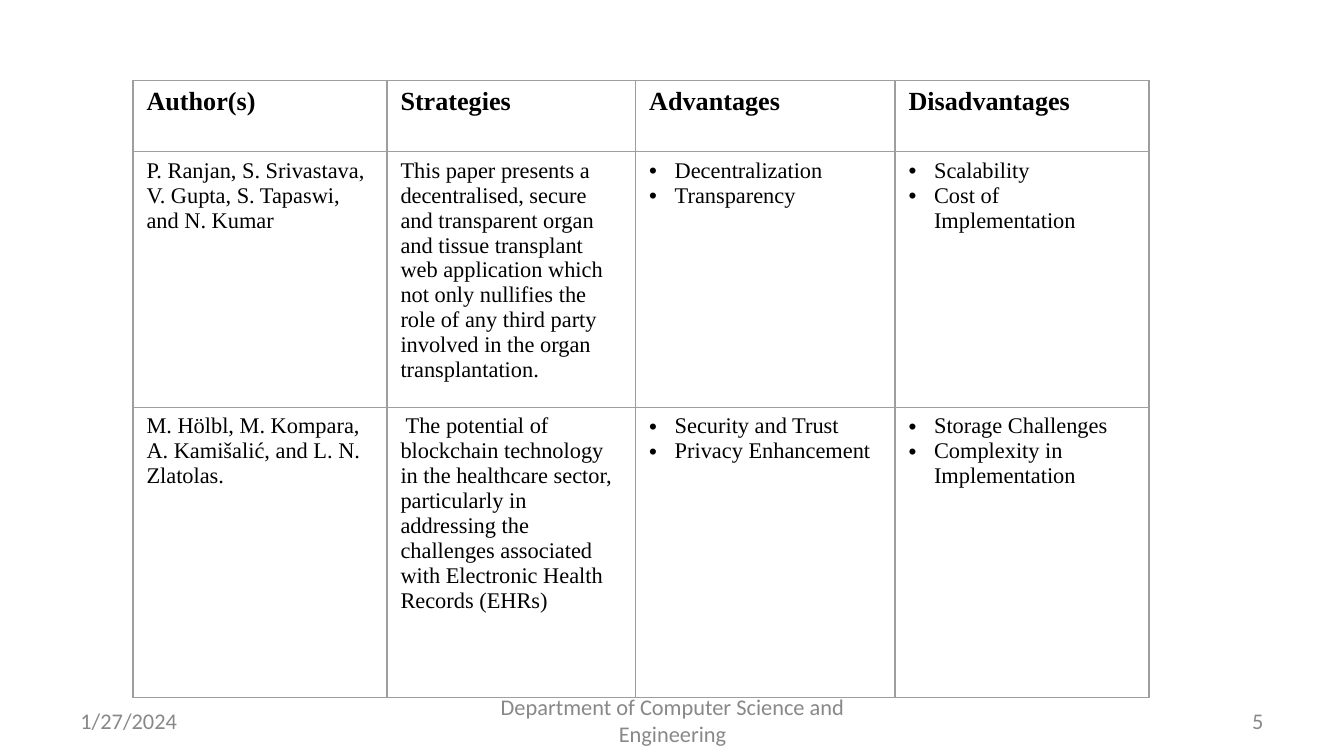
import pptx
import pptx.util
import pptx.dml.color
import pptx.enum.text
import pptx.oxml.ns
from lxml import etree

Inches, Pt = pptx.util.Inches, pptx.util.Pt
ALIGN = pptx.enum.text.PP_ALIGN

COLORS = {"text": "000000", "footer": "888888", "border": "9E9E9E"}
HEADERS = ["Author(s)", "Strategies", "Advantages", "Disadvantages"]
# A string is a plain cell; a list is a bulleted cell.
STUDIES = [
    [
        "P. Ranjan, S. Srivastava, V. Gupta, S. Tapaswi, and N. Kumar",
        "This paper presents a decentralised, secure and transparent organ and tissue "
        "transplant web application which not only nullifies the role of any third party "
        "involved in the organ transplantation.",
        ["Decentralization", "Transparency"],
        ["Scalability", "Cost of Implementation"],
    ],
    [
        "M. Hölbl, M. Kompara, A. Kamišalić, and L. N. Zlatolas.",
        " The potential of blockchain technology in the healthcare sector, particularly in "
        "addressing the challenges associated with Electronic Health Records (EHRs)",
        ["Security and Trust", "Privacy Enhancement"],
        ["Storage Challenges", "Complexity in Implementation"],
    ],
]
COLUMN_WIDTHS = [1.89, 1.85, 1.93, 1.89]
ROW_HEIGHTS = [0.53, 1.76, 2.16]
TABLE_LEFT, TABLE_TOP = 0.99, 0.6
FOOTER_TOP, FOOTER_HEIGHT = 5.21, 0.3
FOOTERS = [  # text, left, width, alignment
    ("1/27/2024", 0.5, 2.33, ALIGN.LEFT),
    ("Department of Computer Science and Engineering", 3.42, 3.17, ALIGN.CENTER),
    ("5", 7.17, 2.33, ALIGN.RIGHT),
]


def add_element(parent, tag, **attributes):
    return etree.SubElement(parent, pptx.oxml.ns.qn(tag), attributes)


def add_run(paragraph, text, size, font, color, bold=False):
    """Add a run and give the paragraph mark the same size, so it adds no line height."""
    run = paragraph.add_run()
    run.text = text
    run.font.size = Pt(size)
    run.font.name = font
    run.font.bold = bold
    run.font.color.rgb = pptx.dml.color.RGBColor.from_string(COLORS[color])
    paragraph_mark = add_element(paragraph._p, "a:endParaRPr", sz=str(size * 100))
    add_element(paragraph_mark, "a:latin", typeface=font)


def add_bullet(paragraph):
    properties = paragraph._p.get_or_add_pPr()
    indent = Inches(0.19)
    properties.set("marL", str(indent))
    properties.set("indent", str(-indent))
    bullet_color = add_element(properties, "a:buClr")
    add_element(bullet_color, "a:srgbClr", val=COLORS["text"])
    add_element(properties, "a:buFont", typeface="Arial")
    add_element(properties, "a:buChar", char="•")


def add_borders(cell):
    properties = cell._tc.get_or_add_tcPr()
    for side in "LRTB":
        line = add_element(properties, f"a:ln{side}", w=str(Pt(0.75)))
        fill = add_element(line, "a:solidFill")
        add_element(fill, "a:srgbClr", val=COLORS["border"])


def fill_cell(cell, content, is_header):
    add_borders(cell)
    cell.fill.background()
    bulleted = isinstance(content, list)
    frame = cell.text_frame
    for index, text in enumerate(content if bulleted else [content]):
        paragraph = frame.add_paragraph() if index else frame.paragraphs[0]
        if bulleted:
            add_bullet(paragraph)
        add_run(paragraph, text, 14 if is_header else 12, "Times New Roman", "text", is_header)


def add_study_table(slide):
    rows = [HEADERS] + STUDIES
    table = slide.shapes.add_table(
        len(rows), len(HEADERS), Inches(TABLE_LEFT), Inches(TABLE_TOP),
        Inches(sum(COLUMN_WIDTHS)), Inches(sum(ROW_HEIGHTS))).table
    table.horz_banding = False
    table.first_row = False
    for column, width in zip(table.columns, COLUMN_WIDTHS):
        column.width = Inches(width)
    for row, height, contents in zip(table.rows, ROW_HEIGHTS, rows):
        row.height = Inches(height)
        for cell, content in zip(row.cells, contents):
            fill_cell(cell, content, contents is HEADERS)


def add_footers(slide):
    for text, left, width, alignment in FOOTERS:
        box = slide.shapes.add_textbox(
            Inches(left), Inches(FOOTER_TOP), Inches(width), Inches(FOOTER_HEIGHT))
        frame = box.text_frame
        frame.word_wrap = True
        frame.vertical_anchor = pptx.enum.text.MSO_ANCHOR.MIDDLE
        paragraph = frame.paragraphs[0]
        paragraph.alignment = alignment
        add_run(paragraph, text, 12, "Calibri", "footer")


def main():
    presentation = pptx.Presentation()
    presentation.slide_width = Inches(10)
    presentation.slide_height = presentation.slide_width * 9 // 16
    blank_layout = presentation.slide_layouts[6]
    slide = presentation.slides.add_slide(blank_layout)
    add_footers(slide)
    add_study_table(slide)
    presentation.save("out.pptx")


if __name__ == "__main__":
    main()
